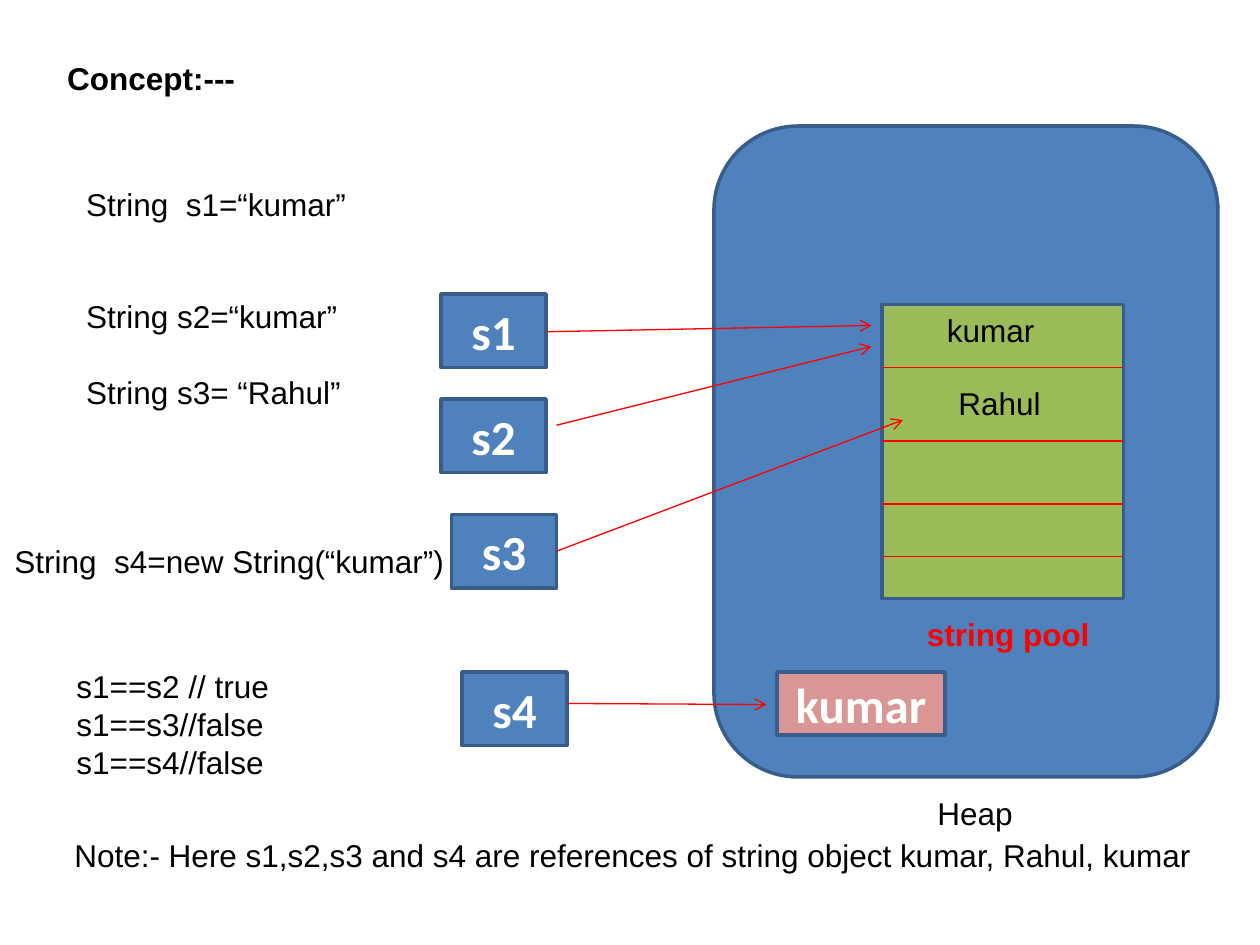
from dataclasses import dataclass

from lxml.etree import SubElement
from pptx import Presentation
from pptx.dml.color import RGBColor
from pptx.enum.shapes import MSO_CONNECTOR, MSO_SHAPE
from pptx.enum.text import MSO_ANCHOR, MSO_AUTO_SIZE, PP_ALIGN
from pptx.oxml.ns import qn
from pptx.util import Emu, Pt

PX_PER_INCH = 120
COLORS = {
    "heap": "4F81BD",
    "pool": "9BBB59",
    "object": "D99694",
    "outline": "385D8A",
    "accent": "FF0000",
    "ink": "000000",
    "light": "FFFFFF",
}
LINE_PITCH = 21.5


@dataclass
class Box:
    left: int
    top: int
    width: int
    height: int
    fill: str
    text: str = ""
    preset: MSO_SHAPE = MSO_SHAPE.RECTANGLE


@dataclass
class Label:
    left: int
    top: int
    width: int
    height: int
    text: str
    color: str = "ink"
    bold: bool = False


@dataclass
class Line:
    x1: int
    y1: int
    x2: int
    y2: int
    arrow: bool = False


def px(length: int) -> Emu:
    return Emu(length * 914400 // PX_PER_INCH)


def color(name: str) -> RGBColor:
    return RGBColor.from_string(COLORS[name])


def format_runs(frame, font: str, size: int, ink: str, bold: bool) -> None:
    for paragraph in frame.paragraphs:
        for run in paragraph.runs:
            run.font.name = font
            run.font.size = Pt(size)
            run.font.bold = bold
            run.font.color.rgb = color(ink)


def draw_box(slide, box: Box) -> None:
    shape = slide.shapes.add_shape(
        box.preset, px(box.left), px(box.top), px(box.width), px(box.height)
    )
    shape.shadow.inherit = False
    shape.fill.solid()
    shape.fill.fore_color.rgb = color(box.fill)
    shape.line.color.rgb = color("outline")
    shape.line.width = Pt(2)
    if box.text:
        frame = shape.text_frame
        frame.text = box.text
        frame.vertical_anchor = MSO_ANCHOR.MIDDLE
        frame.paragraphs[0].alignment = PP_ALIGN.CENTER
        format_runs(frame, "Calibri", 28, "light", True)


def draw_line(slide, line: Line) -> None:
    connector = slide.shapes.add_connector(
        MSO_CONNECTOR.STRAIGHT, px(line.x1), px(line.y1), px(line.x2), px(line.y2)
    )
    connector.line.color.rgb = color("accent")
    connector.line.width = Pt(0.75)
    if line.arrow:
        SubElement(connector.line._ln, qn("a:tailEnd"), type="arrow")
    SubElement(connector._element.spPr, qn("a:effectLst"))


def fill_label(shape, label: Label) -> None:
    shape.left, shape.top = px(label.left), px(label.top)
    shape.width, shape.height = px(label.width), px(label.height)
    frame = shape.text_frame
    frame.text = label.text
    frame.word_wrap = False
    frame.auto_size = MSO_AUTO_SIZE.NONE
    frame.vertical_anchor = MSO_ANCHOR.TOP
    for paragraph in frame.paragraphs:
        paragraph.alignment = PP_ALIGN.LEFT
        paragraph.space_before = Pt(0)
        if len(frame.paragraphs) > 1:
            paragraph.line_spacing = Pt(LINE_PITCH)
    format_runs(frame, "Arial", 18, label.color, label.bold)


def fill_declarations(body, label: Label, blank_lines: list[int]) -> None:
    fill_label(body, label)
    for paragraph, blanks in zip(body.text_frame.paragraphs, blank_lines):
        paragraph.space_before = Pt(blanks * LINE_PITCH)
        properties = paragraph._p.get_or_add_pPr()
        properties.set("marL", "0")
        properties.set("indent", "0")
        SubElement(properties, qn("a:buNone"))


TITLE = Label(52, 50, 184, 48, "Concept:---", bold=True)
DECLARATIONS = Label(
    70, 170, 330, 228, "String  s1=“kumar”\nString s2=“kumar”\nString s3= “Rahul”"
)
HEAP = Box(680, 120, 480, 620, "heap", preset=MSO_SHAPE.ROUNDED_RECTANGLE)
POOL = Box(840, 290, 230, 280, "pool")
POOL_DIVIDERS = [350, 420, 480, 530]
REFERENCES = {"s1": (420, 280), "s2": (420, 380), "s3": (430, 490), "s4": (440, 640)}
HEAP_OBJECT = Box(740, 640, 160, 60, "object", "kumar")
ARROWS = [
    Line(520, 316, 830, 310, True),
    Line(530, 405, 830, 330, True),
    Line(530, 525, 860, 400, True),
    Line(540, 670, 730, 671, True),
]
LABELS = [
    Label(881, 750, 96, 48, "Heap"),
    Label(871, 580, 179, 48, "string pool", "accent", True),
    Label(890, 290, 107, 48, "kumar"),
    Label(901, 360, 102, 48, "Rahul"),
    Label(2, 510, 433, 48, "String  s4=new String(“kumar”)"),
    Label(61, 630, 208, 120, "s1==s2 // true\ns1==s3//false\ns1==s4//false"),
    Label(
        59, 790, 1090, 48,
        "Note:- Here s1,s2,s3 and s4 are references of string object "
        "kumar, Rahul, kumar",
    ),
]


def main() -> None:
    presentation = Presentation()
    presentation.slide_width, presentation.slide_height = px(1200), px(900)
    slide = presentation.slides.add_slide(presentation.slide_layouts[1])
    fill_label(slide.shapes.title, TITLE)
    fill_declarations(slide.placeholders[1], DECLARATIONS, [0, 2, 1])

    references = [
        Box(left, top, 100, 70, "heap", name)
        for name, (left, top) in REFERENCES.items()
    ]
    for box in [HEAP, POOL, *references, HEAP_OBJECT]:
        draw_box(slide, box)
    dividers = [
        Line(POOL.left, y, POOL.left + POOL.width, y) for y in POOL_DIVIDERS
    ]
    for line in dividers + ARROWS:
        draw_line(slide, line)
    for label in LABELS:
        textbox = slide.shapes.add_textbox(0, 0, px(label.width), px(label.height))
        fill_label(textbox, label)

    presentation.save("out.pptx")


if __name__ == "__main__":
    main()
